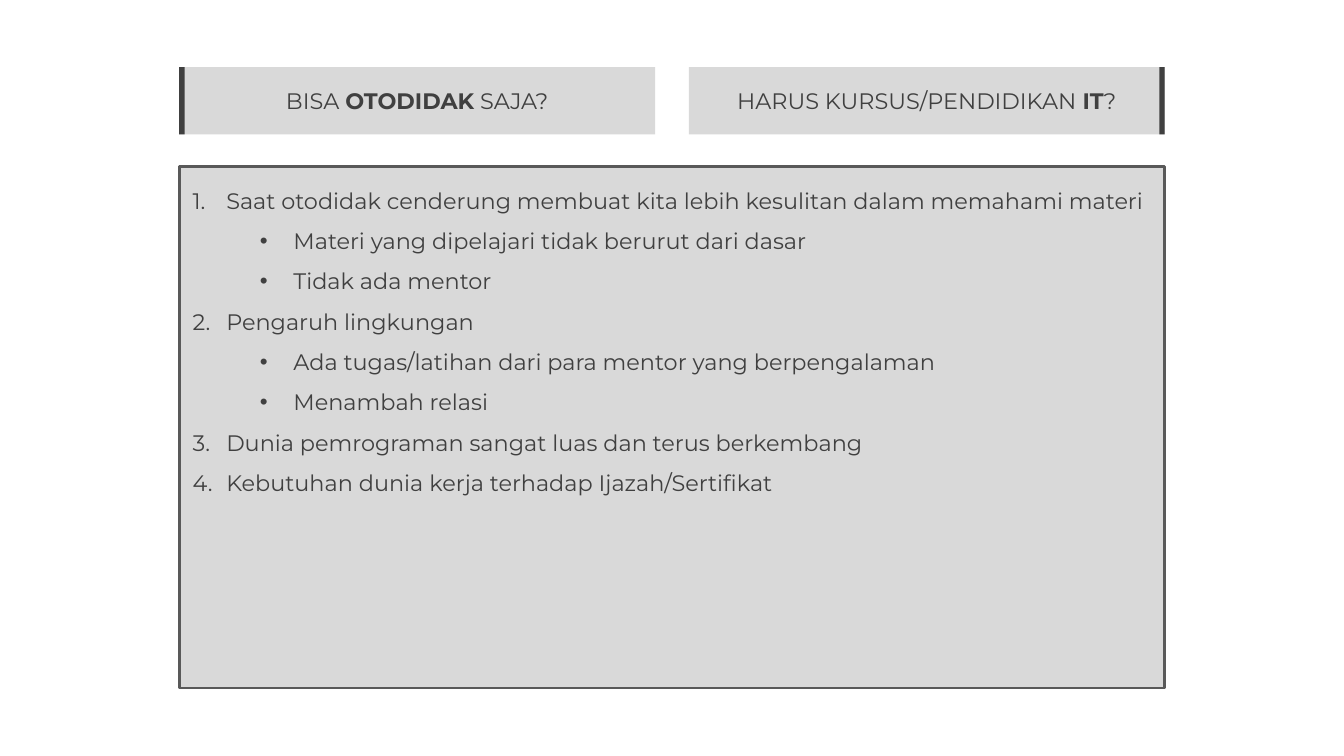
"""Build the slide comparing self-study with formal IT courses."""
from lxml import etree
from pptx import Presentation
from pptx import util as u
from pptx.dml.color import RGBColor
from pptx.enum import shapes, text
from pptx.oxml.ns import qn

PANEL = RGBColor(0xD9, 0xD9, 0xD9)
BORDER = RGBColor(0x59, 0x59, 0x59)
DARK = RGBColor(0x40, 0x40, 0x40)

SLIDE_W = 10
SLIDE_H = SLIDE_W * 9 / 16
LEFT = SLIDE_W * 2 / 15
RIGHT = SLIDE_W - LEFT
WIDTH = RIGHT - LEFT
GAP = 0.25
HEAD_W = (WIDTH - GAP) / 2
HEAD_TOP, HEAD_H, BAR_W = 0.5, 0.5, 0.04

POINTS = [
    (0, "Saat otodidak cenderung membuat kita lebih kesulitan dalam memahami materi"),
    (1, "Materi yang dipelajari tidak berurut dari dasar"),
    (1, "Tidak ada mentor"),
    (0, "Pengaruh lingkungan"),
    (1, "Ada tugas/latihan dari para mentor yang berpengalaman"),
    (1, "Menambah relasi"),
    (0, "Dunia pemrograman sangat luas dan terus berkembang"),
    (0, "Kebutuhan dunia kerja terhadap Ijazah/Sertifikat"),
]


def add_run(p, content, size=12, bold=False, color=DARK, font="Montserrat"):
    r = p.add_run()
    r.text = content
    r.font.size, r.font.bold, r.font.name = u.Pt(size), bold, font
    r.font.color.rgb = color


class Deck:
    def __init__(self):
        self.prs = Presentation()
        self.prs.slide_width = u.Inches(SLIDE_W)
        self.prs.slide_height = u.Inches(SLIDE_H)
        self.s = self.prs.slides.add_slide(self.prs.slide_layouts[4])

    def panel(self, idx, x, y, w, h, anchor):
        sp = self.s.placeholders[idx]
        sp.left, sp.top, sp.width, sp.height = map(u.Inches, (x, y, w, h))
        sp.fill.solid()
        sp.fill.fore_color.rgb = PANEL
        tf = sp.text_frame
        tf.word_wrap, tf.auto_size = True, text.MSO_AUTO_SIZE.NONE
        tf.vertical_anchor = anchor
        return sp

    def heading(self, idx, x, bar_x, parts):
        sp = self.panel(idx, x, HEAD_TOP, HEAD_W, HEAD_H, text.MSO_ANCHOR.MIDDLE)
        p = sp.text_frame.paragraphs[0]
        p.alignment, p.space_before = text.PP_ALIGN.CENTER, u.Pt(0)
        for i, part in enumerate(parts):
            add_run(p, part, bold=i == 1)
        self.bar(bar_x)

    def bar(self, x):
        sp = self.s.shapes.add_shape(shapes.MSO_SHAPE.RECTANGLE, *map(
            u.Inches, (x, HEAD_TOP, BAR_W, HEAD_H)))
        sp.shadow.inherit = False
        sp.fill.solid()
        sp.fill.fore_color.rgb = DARK
        sp.line.fill.background()

    def points(self, idx, y, h, items):
        sp = self.panel(idx, LEFT, y, WIDTH, h, text.MSO_ANCHOR.TOP)
        sp.line.color.rgb, sp.line.width = BORDER, u.Pt(1.5)
        tf = sp.text_frame
        for i, (level, content) in enumerate(items):
            p = tf.add_paragraph() if i else tf.paragraphs[0]
            p.level, p.line_spacing, p.space_before = level, 1.5, u.Pt(0)
            add_run(p, content)
            self.bullet(p, level)

    def bullet(self, p, level):
        pPr = p._p.get_or_add_pPr()
        pPr.set("marL", str(u.Inches(0.25 + 0.5 * level)))
        pPr.set("indent", str(u.Inches(-0.25)))
        font = "Arial" if level else "+mj-lt"
        etree.SubElement(pPr, qn("a:buFont"), typeface=font)
        if level:
            etree.SubElement(pPr, qn("a:buChar"), char="•")
        else:
            etree.SubElement(pPr, qn("a:buAutoNum"), type="arabicPeriod")

    def drop_empty(self):
        for sp in list(self.s.placeholders):
            if not sp.text_frame.text:
                sp._element.getparent().remove(sp._element)


def main():
    deck = Deck()
    deck.points(2, 1.24, 3.88, POINTS)
    deck.heading(1, LEFT, LEFT, ["BISA ", "OTODIDAK", " SAJA?"])
    deck.heading(3, RIGHT - HEAD_W, RIGHT - BAR_W,
                 ["HARUS KURSUS/PENDIDIKAN ", "IT", "?"])
    deck.drop_empty()
    deck.prs.save("out.pptx")


if __name__ == "__main__":
    main()
